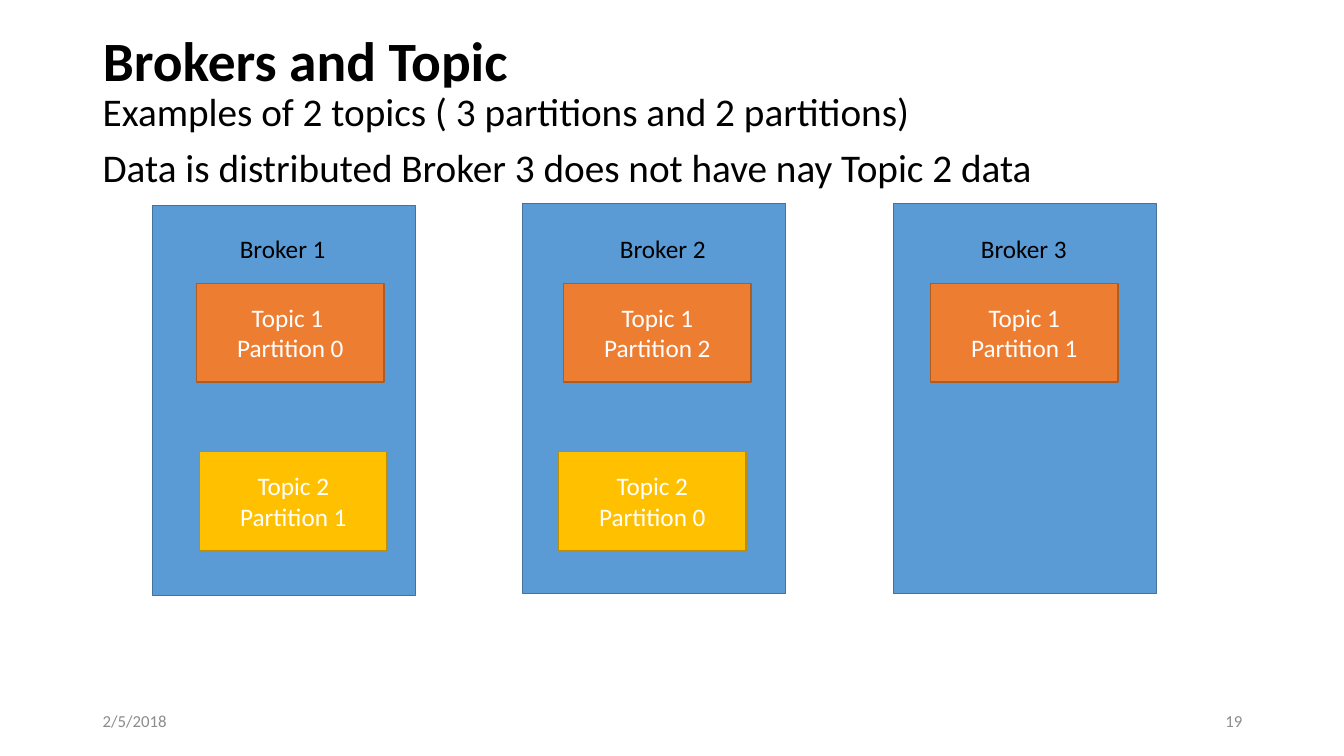
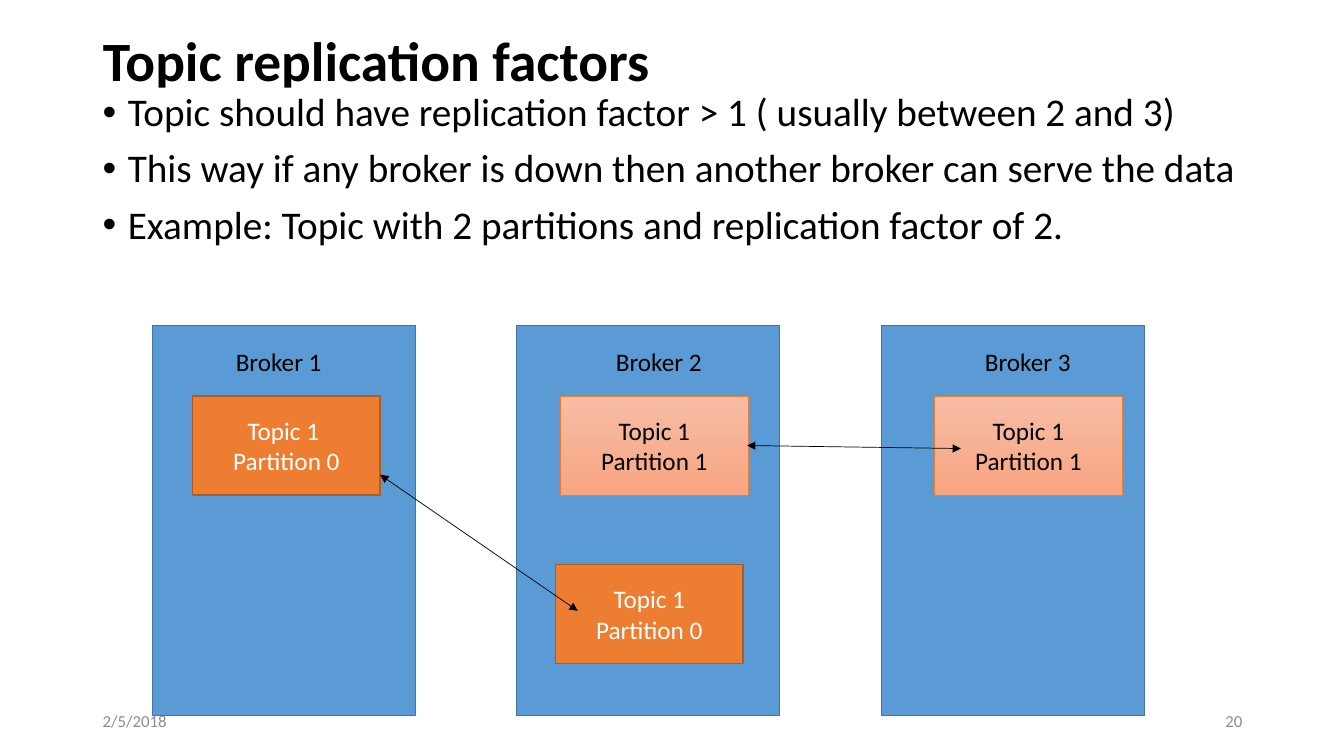
import pptx
import pptx.dml.color
import pptx.enum.shapes
import pptx.enum.text
import pptx.oxml
import pptx.oxml.ns
import pptx.util
from pptx.util import Inches

RGBColor = pptx.dml.color.RGBColor
BLACK = RGBColor(0x00, 0x00, 0x00)
WHITE = RGBColor(0xFF, 0xFF, 0xFF)
GRAY = RGBColor(0x8C, 0x8C, 0x8C)
BLUE = RGBColor(0x5B, 0x9B, 0xD5)
DARK_BLUE = RGBColor(0x43, 0x73, 0x9E)
ORANGE = RGBColor(0xED, 0x7D, 0x31)
DARK_ORANGE = RGBColor(0xAF, 0x5C, 0x24)
GOLD = RGBColor(0xFF, 0xC0, 0x00)
DARK_GOLD = RGBColor(0xBD, 0x8E, 0x00)
LIGHT_PEACH = RGBColor(0xF7, 0xBD, 0xA5)
PEACH = RGBColor(0xF8, 0xA5, 0x82)

# Partition styles: fill colours (two make a gradient), line, line width, text
ORANGE_STYLE = ([ORANGE], DARK_ORANGE, 1, WHITE)
GOLD_STYLE = ([GOLD], DARK_GOLD, 1, WHITE)
PEACH_STYLE = ([LIGHT_PEACH, PEACH], ORANGE, 0.5, BLACK)

FONT = "Calibri"
MARGIN = 0.92
CONTENT_WIDTH = 11.5
BODY_TOP = 0.87
BROKER_SIZE = (2.61, 3.87)
PARTITION_SIZE = (1.86, 0.98)
LABEL_SIZE = (1.06, 0.4)
FOOTER_SIZE = (3, 0.4)
ALIGN = pptx.enum.text.PP_ALIGN
ANCHOR = pptx.enum.text.MSO_ANCHOR
AUTO_SIZE = pptx.enum.text.MSO_AUTO_SIZE


def write_text(shape, lines, size=18, color=BLACK, bold=False, align=ALIGN.LEFT,
               anchor=ANCHOR.TOP, wrap=True, auto_size=AUTO_SIZE.NONE,
               line_spacing=None, space_before=0, bulleted=False):
    frame = shape.text_frame
    frame.word_wrap = wrap
    frame.auto_size = auto_size
    frame.vertical_anchor = anchor
    for index, line in enumerate(lines):
        paragraph = frame.add_paragraph() if index else frame.paragraphs[0]
        paragraph.alignment = align
        paragraph.line_spacing = line_spacing
        paragraph.space_before = pptx.util.Pt(space_before)
        if bulleted:
            add_bullet(paragraph)
        run = paragraph.add_run()
        run.text = line
        run.font.name = FONT
        run.font.size = pptx.util.Pt(size)
        run.font.bold = bold
        run.font.color.rgb = color


def add_bullet(paragraph, indent=0.25):
    properties = paragraph._p.get_or_add_pPr()
    properties.set("marL", str(Inches(indent)))
    properties.set("indent", str(-Inches(indent)))
    namespace = pptx.oxml.ns.nsdecls("a")
    for element in ('buFont {} typeface="Arial"', 'buChar {} char="•"'):
        properties.append(
            pptx.oxml.parse_xml(f"<a:{element.format(namespace)}/>"))


def add_text_box(slide, left, top, box_size, lines, **text_format):
    box = slide.shapes.add_textbox(*map(Inches, (left, top, *box_size)))
    write_text(box, lines, **text_format)
    return box


def add_rectangle(slide, left, top, box_size, colors, line_color, line_width=1):
    shape = slide.shapes.add_shape(
        pptx.enum.shapes.MSO_SHAPE.RECTANGLE,
        *map(Inches, (left, top, *box_size)))
    shape.shadow.inherit = False
    if len(colors) == 1:
        shape.fill.solid()
        shape.fill.fore_color.rgb = colors[0]
    else:
        shape.fill.gradient()
        shape.fill.gradient_angle = 270
        for stop, color in zip(shape.fill.gradient_stops, colors):
            stop.color.rgb = color
    shape.line.color.rgb = line_color
    shape.line.width = pptx.util.Pt(line_width)
    return shape


def add_partition(slide, left, top, topic, partition, style):
    colors, line_color, line_width, text_color = style
    shape = add_rectangle(slide, left, top, PARTITION_SIZE, colors,
                          line_color, line_width)
    write_text(shape, [topic, partition], color=text_color,
               align=ALIGN.CENTER, anchor=ANCHOR.MIDDLE)


def add_brokers(slide, positions, label_lefts, label_top):
    for left, top in positions:
        add_rectangle(slide, left, top, BROKER_SIZE, [BLUE], DARK_BLUE)
    for number, left in enumerate(label_lefts, start=1):
        add_text_box(slide, left, label_top, LABEL_SIZE, [f"Broker {number}"],
                     wrap=False, auto_size=AUTO_SIZE.SHAPE_TO_FIT_TEXT)


def add_double_arrow(slide, start, end):
    connector = slide.shapes.add_connector(
        pptx.enum.shapes.MSO_CONNECTOR.STRAIGHT, *map(Inches, (*start, *end)))
    connector.line.color.rgb = BLACK
    connector.line.width = pptx.util.Pt(0.5)
    properties = connector._element.spPr
    line = properties.get_or_add_ln()
    namespace = pptx.oxml.ns.nsdecls("a")
    for tag in ("headEnd", "tailEnd"):
        line.append(pptx.oxml.parse_xml(f'<a:{tag} {namespace} type="triangle"/>'))
    properties.append(pptx.oxml.parse_xml(f"<a:effectLst {namespace}/>"))


def add_base_slide(presentation, title, body, number, body_size, bulleted=False):
    """Add a slide with title, body text, date and slide number."""
    slide = presentation.slides.add_slide(presentation.slide_layouts[5])
    heading = slide.shapes.title
    heading.left, heading.top = Inches(MARGIN), Inches(0.4)
    heading.width, heading.height = Inches(CONTENT_WIDTH), Inches(0.47)
    write_text(heading, [title], size=39.6, bold=True, anchor=ANCHOR.MIDDLE,
               line_spacing=0.9)
    body_box = add_text_box(slide, MARGIN, BODY_TOP, body_size, body, size=28,
                            line_spacing=0.9, space_before=10, bulleted=bulleted)
    body_box.fill.solid()
    body_box.fill.fore_color.rgb = WHITE
    number_left = MARGIN + CONTENT_WIDTH - FOOTER_SIZE[0]
    for left, text, align in ((MARGIN, "2/5/2018", ALIGN.LEFT),
                              (number_left, str(number), ALIGN.RIGHT)):
        add_text_box(slide, left, 6.95, FOOTER_SIZE, [text], size=12,
                     color=GRAY, align=align, anchor=ANCHOR.MIDDLE)
    return slide


def add_topic_slide(presentation):
    slide = add_base_slide(
        presentation, "Brokers and Topic",
        ["Examples of 2 topics ( 3 partitions and 2 partitions)",
         "Data is distributed Broker 3 does not have nay Topic 2 data"],
        19, (CONTENT_WIDTH, 5.89))
    add_brokers(slide, [(1.51, 2.04), (5.18, 2.02), (8.86, 2.02)],
                [2.28, 6.05, 9.63], 2.27)
    upper, lower = 2.81, 4.48
    for left, top, topic, partition, style in (
            (1.95, upper, "Topic 1 ", "Partition 0", ORANGE_STYLE),
            (5.59, upper, "Topic 1", "Partition 2", ORANGE_STYLE),
            (9.23, upper, "Topic 1", "Partition 1", ORANGE_STYLE),
            (5.54, lower, "Topic 2", "Partition 0", GOLD_STYLE),
            (1.98, lower, "Topic 2", "Partition 1", GOLD_STYLE)):
        add_partition(slide, left, top, topic, partition, style)


def add_replication_slide(presentation):
    slide = add_base_slide(
        presentation, "Topic replication factors",
        ["Topic should have replication factor > 1 ( usually between 2 and 3)",
         "This way if any broker is down then another broker can serve the data",
         "Example: Topic with 2 partitions and replication factor of 2."],
        20, (11.6, 6.48), bulleted=True)
    add_brokers(slide, [(left, 3.23) for left in (1.51, 5.12, 8.74)],
                [2.24, 6.01, 9.67], 3.39)
    upper, lower = 3.93, 5.6
    for left, top, topic, partition, style in (
            (1.91, upper, "Topic 1 ", "Partition 0", ORANGE_STYLE),
            (5.56, upper, "Topic 1", "Partition 1", PEACH_STYLE),
            (9.27, upper, "Topic 1", "Partition 1", PEACH_STYLE),
            (5.51, lower, "Topic 1", "Partition 0", ORANGE_STYLE)):
        add_partition(slide, left, top, topic, partition, style)
    add_double_arrow(slide, (3.77, 4.71), (5.73, 6.06))
    add_double_arrow(slide, (7.41, 4.42), (9.53, 4.45))


def main():
    presentation = pptx.Presentation()
    presentation.slide_width = Inches(13.33)
    presentation.slide_height = Inches(7.5)
    add_topic_slide(presentation)
    add_replication_slide(presentation)
    presentation.save("out.pptx")


if __name__ == "__main__":
    main()
